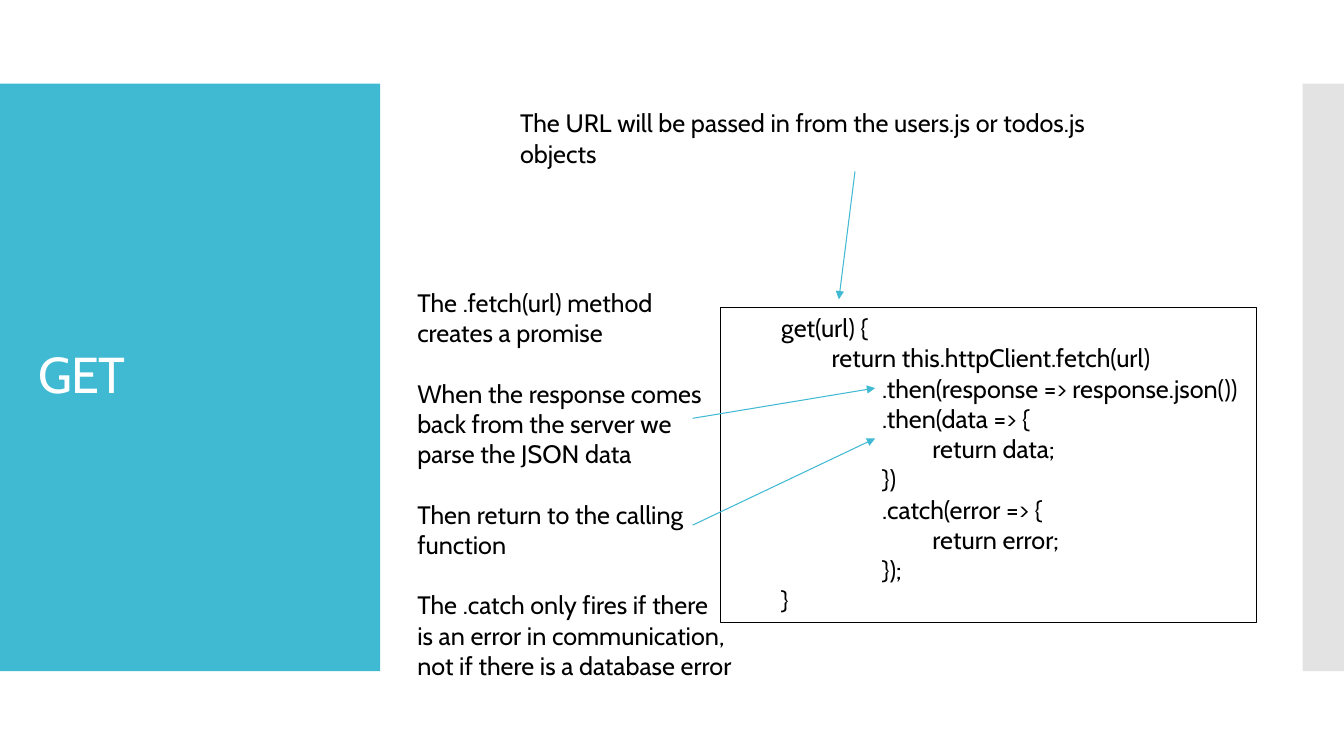
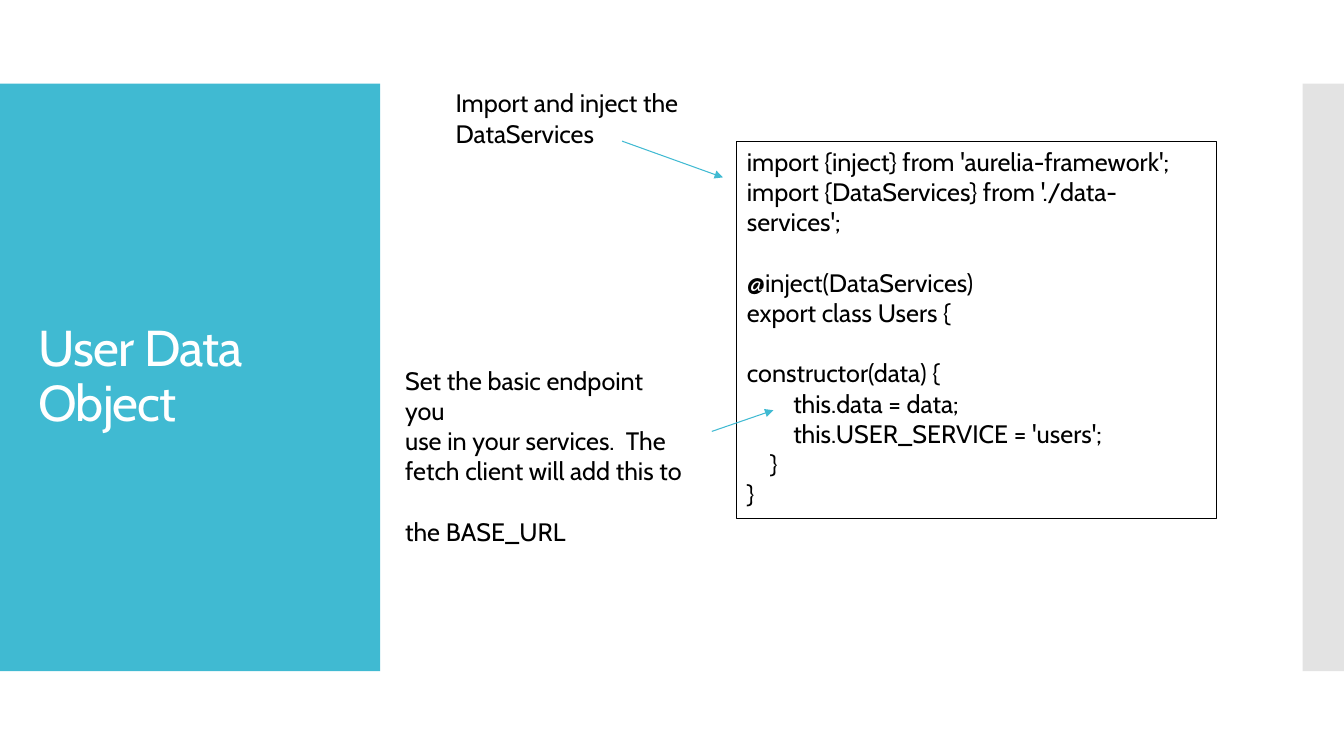
from dataclasses import dataclass
from typing import Any

from pptx import Presentation
from pptx.dml.color import RGBColor
from pptx.enum.shapes import MSO_CONNECTOR, MSO_SHAPE
from pptx.enum.text import MSO_ANCHOR, MSO_AUTO_SIZE, PP_ALIGN
from pptx.oxml.ns import qn
from pptx.slide import Slide, SlideLayout
from pptx.util import Inches, Pt
from lxml.etree import SubElement

FONT = "Cabin"
TEAL, GREY, BLACK, WHITE = "40BAD2", "C8C8C8", "000000", "FFFFFF"
BLANK_LINE = Pt(21.6)
TITLE_BOX = (0.28, 1.23, 3.22, 5.03)
TITLE_FRAME = {"word_wrap": True, "auto_size": MSO_AUTO_SIZE.NONE,
               "vertical_anchor": MSO_ANCHOR.MIDDLE}
BODY_FRAME = {"word_wrap": True, "auto_size": MSO_AUTO_SIZE.NONE,
              "vertical_anchor": MSO_ANCHOR.TOP}
TITLE_FONT = {"name": FONT, "size": Pt(36)}
BODY_FONT = {"name": FONT, "size": Pt(18)}

Box = tuple[float, float, float, float]
Point = tuple[float, float]


@dataclass(frozen=True)
class Band:
    """A side band shared by all slides."""
    box: Box
    colour: str
    opacity: int = 100


@dataclass(frozen=True)
class Line:
    """One paragraph, with its indent level and an optional gap above."""
    text: str
    level: int = 0
    gap: bool = False


@dataclass(frozen=True)
class Block:
    """A block of text; code blocks are outlined."""
    box: Box
    lines: list[Line]
    indent: float = 0
    outlined: bool = False


@dataclass(frozen=True)
class Arrow:
    """A pointer from an explanation to the code."""
    start: Point
    end: Point


@dataclass(frozen=True)
class Page:
    """The content of one slide."""
    title: str
    blocks: list[Block]
    arrows: list[Arrow]


BANDS = [Band((0, 0.83, 3.77, 5.83), TEAL),
         Band((12.92, 0.83, 0.42, 5.83), GREY, 50)]

PAGES = [
    Page("GET", [
        Block((7.15, 3.05, 5.31, 3.13), [
            Line("get(url) {", 1),
            Line("return this.httpClient.fetch(url)", 2),
            Line(".then(response => response.json())", 3),
            Line(".then(data => {", 3),
            Line("return data;", 4),
            Line("})", 3),
            Line(".catch(error => {", 3),
            Line("return error;", 4),
            Line("});", 3),
            Line("}", 1),
        ], indent=0.5, outlined=True),
        Block((5.06, 1.02, 6.57, 0.7), [
            Line("The URL will be passed in from the users.js or todos.js objects"),
        ]),
        Block((4.04, 2.8, 3.32, 4.04), [
            Line("The .fetch(url) method\ncreates a promise"),
            Line("When the response comes\nback from the server we\nparse the JSON data", gap=True),
            Line("Then return to the calling\nfunction", gap=True),
            Line("The .catch only fires if there\nis an error in communication,\n"
                 "not if there is a database error", gap=True),
        ]),
    ], [
        Arrow((8.48, 1.7), (8.32, 2.97)),
        Arrow((6.87, 4.15), (8.68, 3.85)),
        Arrow((6.87, 5.21), (8.68, 4.35)),
    ]),
    Page("User Data Object", [
        Block((7.31, 1.4, 4.76, 3.74), [
            Line("import {inject} from 'aurelia-framework';"),
            Line("import {DataServices} from './data-services';"),
            Line("@inject(DataServices)", gap=True),
            Line("export class Users {"),
            Line("constructor(data) {", gap=True),
            Line("this.data = data;", 2),
            Line("this.USER_SERVICE = 'users';", 2),
            Line("}", 1),
            Line("}"),
        ], indent=0.23, outlined=True),
        Block((4.42, 0.82, 3.8, 0.7), [Line("Import and inject the DataServices")]),
        Block((3.92, 3.57, 2.97, 1.91), [
            Line("Set the basic endpoint you\nuse in your services.  The\nfetch client will add this to"),
            Line("the BASE_URL", gap=True),
        ]),
    ], [
        Arrow((6.17, 1.4), (7.17, 1.76)),
        Arrow((7.06, 4.28), (7.67, 4.07)),
    ]),
]


def rgb(colour: str) -> RGBColor:
    """Turn a hex string into a colour."""
    return RGBColor.from_string(colour)


def inches(values: tuple[float, ...]) -> list[Inches]:
    """Turn plain numbers into lengths."""
    return [Inches(value) for value in values]


def apply(target: Any, values: dict[str, Any]) -> None:
    """Set every named attribute on the target."""
    for name, value in values.items():
        setattr(target, name, value)


def add_band(slide: Slide, layout: SlideLayout, band: Band) -> None:
    """Draw a band and move it to the layout, behind every slide."""
    shape = slide.shapes.add_shape(MSO_SHAPE.RECTANGLE, *inches(band.box))
    shape.shadow.inherit = False
    shape.fill.solid()
    shape.fill.fore_color.rgb = rgb(band.colour)
    shape.line.fill.background()
    if band.opacity < 100:
        fill_colour = next(shape.element.iter(qn("a:srgbClr")))
        SubElement(fill_colour, qn("a:alpha"), val=str(band.opacity * 1000))
    layout.shapes.element.append(shape.element)


def set_title(slide: Slide, text: str) -> None:
    """Place and format the title placeholder."""
    title = slide.shapes.title
    apply(title, dict(zip(("left", "top", "width", "height"), inches(TITLE_BOX))))
    apply(title.text_frame, TITLE_FRAME)
    paragraph = title.text_frame.paragraphs[0]
    apply(paragraph, {"text": text, "alignment": PP_ALIGN.LEFT, "line_spacing": 0.9})
    run = paragraph.runs[0]
    apply(run.font, TITLE_FONT)
    run.font.color.rgb = rgb(WHITE)
    run._r.get_or_add_rPr().set("spc", "-60")


def add_block(slide: Slide, block: Block) -> None:
    """Add a text block, one paragraph for each line."""
    if block.outlined:
        shape = slide.shapes.add_shape(MSO_SHAPE.RECTANGLE, *inches(block.box))
        shape.shadow.inherit = False
        shape.fill.background()
        shape.line.color.rgb = rgb(BLACK)
        shape.line.width = Pt(0.75)
    else:
        shape = slide.shapes.add_textbox(*inches(block.box))
    frame = shape.text_frame
    apply(frame, BODY_FRAME)
    for number, line in enumerate(block.lines):
        paragraph = frame.add_paragraph() if number else frame.paragraphs[0]
        apply(paragraph, {"text": line.text, "alignment": PP_ALIGN.LEFT,
                          "space_before": BLANK_LINE if line.gap else Pt(0)})
        margin = Inches(block.indent * line.level)
        paragraph._p.get_or_add_pPr().set("marL", str(margin))
        for run in paragraph.runs:
            apply(run.font, BODY_FONT)
            run.font.color.rgb = rgb(BLACK)


def add_arrow(slide: Slide, arrow: Arrow) -> None:
    """Add a thin line with a triangle at its end."""
    pointer = slide.shapes.add_connector(
        MSO_CONNECTOR.STRAIGHT, *inches(arrow.start + arrow.end))
    pointer.line.color.rgb = rgb(TEAL)
    pointer.line.width = Pt(0.75)
    properties = pointer.element.spPr
    SubElement(properties.find(qn("a:ln")), qn("a:tailEnd"), type="triangle")
    SubElement(properties, qn("a:effectLst"))


def build() -> None:
    """Build and save the presentation."""
    deck = Presentation()
    deck.slide_width, deck.slide_height = inches((13.33, 7.5))
    layout = deck.slide_layouts.get_by_name("Title Only")
    slides = [deck.slides.add_slide(layout) for _ in PAGES]
    for band in BANDS:
        add_band(slides[0], layout, band)
    for slide, page in zip(slides, PAGES):
        set_title(slide, page.title)
        for block in page.blocks:
            add_block(slide, block)
        for arrow in page.arrows:
            add_arrow(slide, arrow)
    deck.save("out.pptx")


build()
